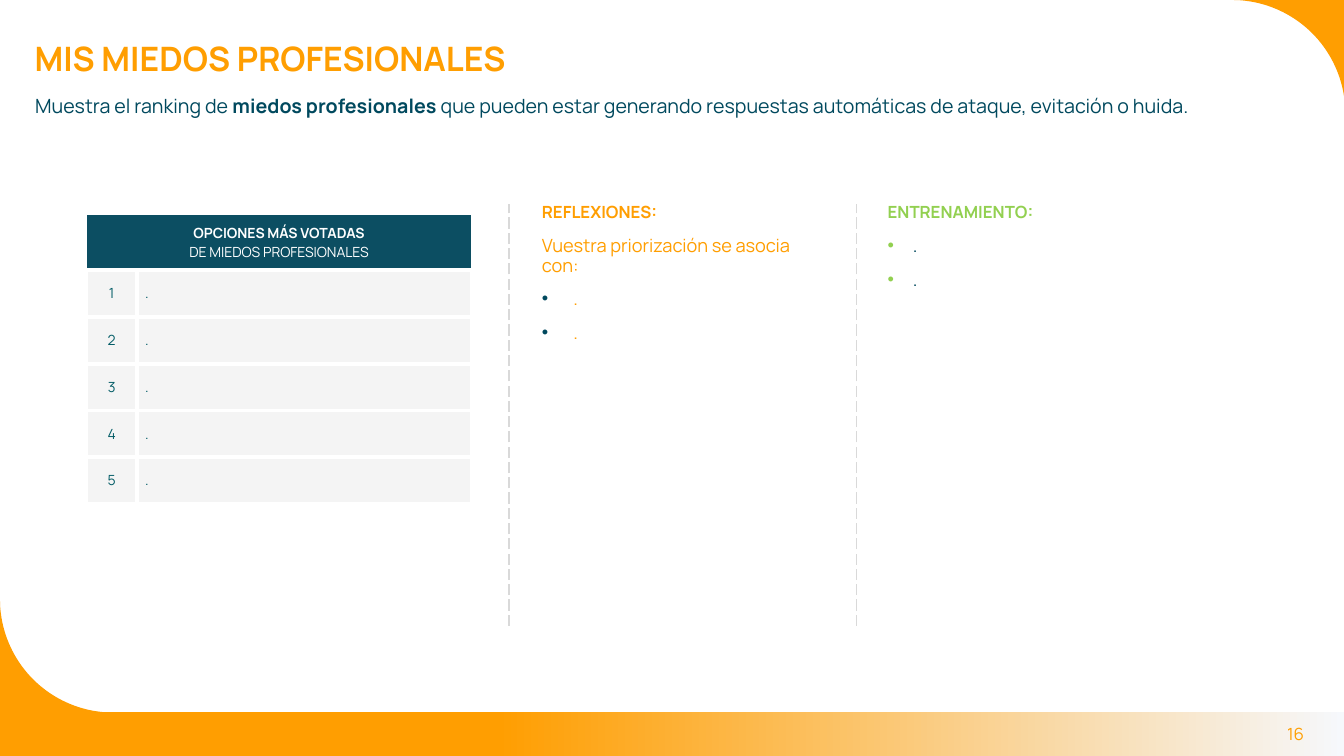
from dataclasses import dataclass
from math import cos, pi, sin

from lxml.etree import SubElement
from pptx import Presentation
from pptx.dml.color import RGBColor
from pptx.enum.dml import MSO_LINE
from pptx.enum.shapes import MSO_CONNECTOR, MSO_SHAPE
from pptx.enum.text import MSO_ANCHOR, PP_ALIGN
from pptx.oxml import parse_xml
from pptx.oxml.ns import nsdecls, qn
from pptx.util import Pt


@dataclass(frozen=True)
class Theme:
    font: str = "Manrope"
    orange: str = "FF9E01"
    mist: str = "F6F8FC"
    navy: str = "00495E"
    teal: str = "045D67"
    header: str = "0C4E62"
    green: str = "92D050"
    cell: str = "D0CECE"
    divider: str = "D9D9D9"
    white: str = "FFFFFF"
    title_size: float = 24
    subtitle_size: float = 14
    body_size: float = 13
    heading_size: float = 12
    table_size: float = 10
    line_spacing: float = 0.9
    cell_opacity: int = 22


class SlideBuilder:
    def __init__(self, slide, theme):
        self.slide = slide
        self.shapes = slide.shapes
        self.theme = theme

    def style(self, item, size, color, bold=False):
        item.font.name = self.theme.font
        item.font.size = Pt(size)
        item.font.bold = bold
        item.font.color.rgb = RGBColor.from_string(color)

    def title(self, text, left, top, width, height):
        title = self.shapes.title
        title.left, title.top, title.width, title.height = map(Pt, (left, top, width, height))
        frame = title.text_frame
        frame.text = text
        frame.vertical_anchor = MSO_ANCHOR.TOP
        paragraph = frame.paragraphs[0]
        paragraph.alignment = PP_ALIGN.LEFT
        paragraph.line_spacing = self.theme.line_spacing
        self.style(paragraph.runs[0], self.theme.title_size, self.theme.orange, True)

    def text_box(self, left, top, width, height):
        frame = self.shapes.add_textbox(*map(Pt, (left, top, width, height))).text_frame
        frame.word_wrap = True
        frame.paragraphs[0].line_spacing = self.theme.line_spacing
        return frame

    def rich_line(self, place, parts, size, color):
        paragraph = self.text_box(*place).paragraphs[0]
        for text, bold in parts:
            run = paragraph.add_run()
            run.text = text
            self.style(run, size, color, bold)

    def page_number(self, text, place):
        frame = self.text_box(*place)
        frame.text = text
        frame.vertical_anchor = MSO_ANCHOR.MIDDLE
        frame.paragraphs[0].alignment = PP_ALIGN.RIGHT
        self.style(frame.paragraphs[0].runs[0], self.theme.heading_size, self.theme.orange)

    def column(self, place, lines, indent, bullet_color):
        """Each line is (text, size, color, bold, bulleted)."""
        frame = self.text_box(*place)
        frame.text = "\n".join(line[0] for line in lines)
        for number, (paragraph, line) in enumerate(zip(frame.paragraphs, lines)):
            _, size, color, bold, bulleted = line
            if bulleted:
                self.bullet(paragraph, indent, bullet_color)
            paragraph.line_spacing = self.theme.line_spacing
            if number:
                paragraph.space_before = Pt(10)
            self.style(paragraph.runs[0], size, color, bold)

    def bullet(self, paragraph, indent, color):
        properties = paragraph._p.get_or_add_pPr()
        properties.set("marL", str(Pt(indent)))
        properties.set("indent", str(-Pt(indent)))
        bullet_color = SubElement(properties, qn("a:buClr"))
        SubElement(bullet_color, qn("a:srgbClr")).set("val", color)
        SubElement(properties, qn("a:buFont")).set("typeface", "Arial")
        SubElement(properties, qn("a:buChar")).set("char", "•")

    def gradient_band(self, left, top, width, height):
        band = self.shapes.add_shape(MSO_SHAPE.RECTANGLE, *map(Pt, (left, top, width, height)))
        band.shadow.inherit = False
        band.line.fill.background()
        band.fill.gradient()
        band.fill.gradient_angle = 180
        stops = ((0, self.theme.mist), (0.63, self.theme.orange))
        for stop, (position, color) in zip(band.fill.gradient_stops, stops):
            stop.position = position
            stop.color.rgb = RGBColor.from_string(color)

    def corner(self, x, y, size, toward_x, toward_y):
        """Fill between a square corner and its rounding; toward_* point inward."""
        center_x, center_y = x + toward_x * size, y + toward_y * size
        steps = 40
        angles = [pi / 2 * step / steps for step in range(steps + 1)]
        arc = [(Pt(center_x - toward_x * size * cos(angle)),
                Pt(center_y - toward_y * size * sin(angle))) for angle in angles]
        builder = self.shapes.build_freeform(Pt(x), Pt(y))
        builder.add_line_segments(arc, close=True)
        corner = builder.convert_to_shape()
        corner.shadow.inherit = False
        corner.fill.solid()
        corner.fill.fore_color.rgb = RGBColor.from_string(self.theme.orange)
        corner.line.fill.background()

    def divider(self, x, top, bottom):
        divider = self.shapes.add_connector(
            MSO_CONNECTOR.STRAIGHT, Pt(x), Pt(bottom), Pt(x), Pt(top))
        divider.line.color.rgb = RGBColor.from_string(self.theme.divider)
        divider.line.width = Pt(1)
        divider.line.dash_style = MSO_LINE.LONG_DASH
        SubElement(divider._element.spPr, qn("a:effectLst"))

    def cell(self, cell, lines, color, fill, borders, opacity=100, align=PP_ALIGN.CENTER):
        """Each line is (text, bold); borders are widths for left, right, top, bottom."""
        cell.text = "\n".join(text for text, _ in lines)
        cell.vertical_anchor = MSO_ANCHOR.MIDDLE
        for paragraph, (_, bold) in zip(cell.text_frame.paragraphs, lines):
            paragraph.alignment = align
            self.style(paragraph.runs[0], self.theme.table_size, color, bold)
        cell.fill.solid()
        cell.fill.fore_color.rgb = RGBColor.from_string(fill)
        properties = cell._tc.get_or_add_tcPr()
        if opacity < 100:
            shade = properties.find(".//" + qn("a:srgbClr"))
            SubElement(shade, qn("a:alpha")).set("val", str(opacity * 1000))
        for index, (side, width) in enumerate(zip("LRTB", borders)):
            properties.insert(index, parse_xml(
                f'<a:ln{side} {nsdecls("a")} w="{Pt(width)}"><a:solidFill>'
                f'<a:srgbClr val="{self.theme.white}"/></a:solidFill></a:ln{side}>'))

    def ranking(self, left, top, widths, header_height, row_height, header, options):
        theme = self.theme
        height = header_height + row_height * len(options)
        table = self.shapes.add_table(
            len(options) + 1, len(widths), *map(Pt, (left, top, sum(widths), height))).table
        table.first_row = table.horz_banding = False
        for column, width in zip(table.columns, widths):
            column.width = Pt(width)
        for number, row in enumerate(table.rows):
            row.height = Pt(row_height if number else header_height)
        table.cell(0, 0).merge(table.cell(0, len(widths) - 1))
        self.cell(table.cell(0, 0), header, theme.white, theme.header, (1, 1, 1, 3))
        for rank, option in enumerate(options, 1):
            for index, (text, align) in enumerate(
                    ((str(rank), PP_ALIGN.CENTER), (option, PP_ALIGN.LEFT))):
                cell = table.cell(rank, index)
                cell.margin_left = cell.margin_right = Pt(5.6)
                cell.margin_top = cell.margin_bottom = Pt(5)
                self.cell(cell, [(text, False)], theme.teal, theme.cell, (3, 3, 3, 3),
                          theme.cell_opacity, align)


def main():
    theme = Theme()
    presentation = Presentation()
    presentation.slide_width, presentation.slide_height = Pt(960), Pt(540)
    page = SlideBuilder(presentation.slides.add_slide(presentation.slide_layouts[5]), theme)

    # Frame: footer band, rounded corners and page number
    page.gradient_band(0, 508.5, 960, 31.5)
    page.corner(0, 509, 81, 1, -1)
    page.corner(961, 0, 81, -1, 1)
    page.page_number("16", (868.5, 508.5, 70, 31.5))

    # Title and introduction
    page.title("MIS MIEDOS PROFESIONALES", 17.5, 26.5, 701, 36)
    page.rich_line((18, 65.5, 910, 24.5), [
        ("Muestra el ranking de ", False),
        ("miedos profesionales ", True),
        ("que pueden estar generando respuestas automáticas de ataque, evitación o huida.", False),
    ], theme.subtitle_size, theme.navy)

    # Ranking of fears
    page.ranking(61.5, 153.5, (36.5, 239), 39.5, 33.4,
                 [("OPCIONES MÁS VOTADAS", True), ("DE MIEDOS PROFESIONALES", False)], ["."] * 5)

    # Dividers between the three columns
    for x in (363.5, 612):
        page.divider(x, 145.5, 447)

    # Reflections and training
    page.column((380, 142.5, 216, 99.5), [
        ("REFLEXIONES:", theme.heading_size, theme.orange, True, False),
        ("Vuestra priorización se asocia con:", theme.body_size, theme.orange, False, False),
        *[(".", theme.body_size, theme.orange, False, True)] * 2,
    ], 22.5, theme.navy)
    page.column((627, 142.5, 309.5, 290), [
        ("ENTRENAMIENTO:", theme.heading_size, theme.green, True, False),
        *[(".", theme.body_size, theme.navy, False, True)] * 2,
    ], 18, theme.green)

    presentation.save("out.pptx")


if __name__ == "__main__":
    main()
